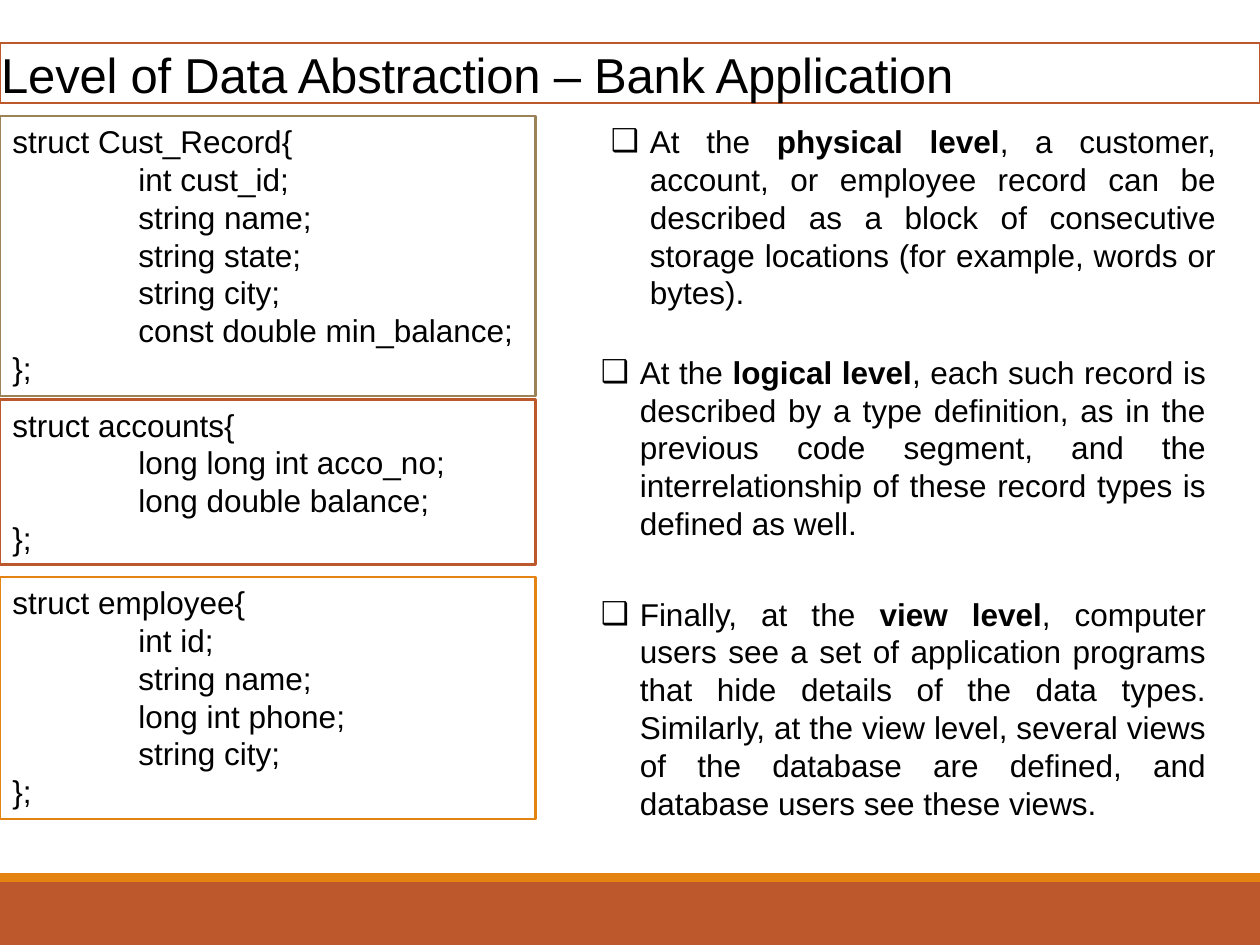
from dataclasses import dataclass

from lxml import etree
from pptx import Presentation
from pptx import util as u
from pptx.dml.color import RGBColor
from pptx.enum import shapes, text
from pptx.oxml.ns import qn


@dataclass(frozen=True)
class Theme:
    font: str = "Arial"
    ink: str = "000000"
    paper: str = "FFFFFF"
    rust: str = "BD582C"
    amber: str = "E48312"
    olive: str = "9B8357"
    title_size: float = 28
    body_size: float = 18
    line_pitch: float = 21.6
    border: float = 1.25


THEME = Theme()
WIDTH, HEIGHT = 10, 7.5
CODE_WIDTH, NOTE_WIDTH = 4.25, 5
MEMBER_INDENT, BULLET_INDENT = 1, 0.31

# Struct name, members, top, height, border colour
STRUCTS = [
    ("Cust_Record", ["int cust_id;", "string name;", "string state;", "string city;",
                     "const double min_balance;"], 0.92, 2.22, THEME.olive),
    ("accounts", ["long long int acco_no;", "long double balance;"],
     3.17, 1.31, THEME.rust),
    ("employee", ["int id;", "string name;", "long int phone;", "string city;"],
     4.58, 1.92, THEME.amber),
]

# Lead-in, level in bold, rest, left, top, height
LEVELS = [
    ("At the ", "physical level", ", a customer, account, or employee record can be "
     "described as a block of consecutive storage locations (for example, words or "
     "bytes).", 4.75, 0.92, 1.62),
    ("At the ", "logical level", ", each such record is described by a type definition, "
     "as in the previous code segment, and the interrelationship of these record types "
     "is defined as well.", 4.67, 2.75, 1.62),
    ("Finally, at the ", "view level", ", computer users see a set of application "
     "programs that hide details of the data types. Similarly, at the view level, "
     "several views of the database are defined, and database users see these views.",
     4.67, 4.67, 1.92),
]


def apply(target, **formats):
    for name, value in formats.items():
        setattr(target, name, value)


def place(box, left, top, width, height):
    apply(box, left=u.Inches(left), top=u.Inches(top),
          width=u.Inches(width), height=u.Inches(height))


def paint(box, fill, line=None):
    box.fill.solid()
    box.fill.fore_color.rgb = RGBColor.from_string(fill)
    if line:
        box.line.color.rgb = RGBColor.from_string(line)
        box.line.width = u.Pt(THEME.border)
    else:
        box.line.fill.background()


def add_rectangle(page, area, fill, line=None):
    box = page.shapes.add_shape(shapes.MSO_SHAPE.RECTANGLE, *map(u.Inches, area))
    box.shadow.inherit = False
    paint(box, fill, line)
    return box


def add_span(para, words, size=THEME.body_size, bold=False):
    span = para.add_run()
    span.text = words
    apply(span.font, name=THEME.font, size=u.Pt(size), bold=bold)
    span.font.color.rgb = RGBColor.from_string(THEME.ink)
    return span


def indent(para, left, first=0):
    properties = para._p.get_or_add_pPr()
    properties.set("marL", str(u.Inches(left)))
    properties.set("indent", str(u.Inches(first)))
    return properties


def add_title(page, words):
    box = page.shapes.title
    place(box, 0, 0.34, WIDTH, 0.48)
    paint(box, THEME.paper, THEME.rust)
    apply(box.text_frame, margin_left=0, margin_right=0, margin_bottom=0,
          margin_top=u.Inches(0.01), word_wrap=True,
          auto_size=text.MSO_AUTO_SIZE.NONE, vertical_anchor=text.MSO_ANCHOR.BOTTOM)
    para = box.text_frame.paragraphs[0]
    apply(para, alignment=text.PP_ALIGN.LEFT, space_before=u.Pt(0.9))
    indent(para, 0.01)
    span = add_span(para, words, THEME.title_size)
    span._r.get_or_add_rPr().set("spc", "-10")


def add_struct(page, name, members, top, height, colour):
    box = add_rectangle(page, (0, top, CODE_WIDTH, height), THEME.paper, colour)
    frame = box.text_frame
    apply(frame, word_wrap=True, vertical_anchor=text.MSO_ANCHOR.TOP)
    lines = [f"struct {name}{{", *members, "};"]
    for number, line in enumerate(lines):
        para = frame.add_paragraph() if number else frame.paragraphs[0]
        apply(para, alignment=text.PP_ALIGN.LEFT, line_spacing=u.Pt(THEME.line_pitch))
        indent(para, MEMBER_INDENT if line in members else 0)
        add_span(para, line)


def add_level(page, lead, level, rest, left, top, height):
    box = page.shapes.add_textbox(*map(u.Inches, (left, top, NOTE_WIDTH, height)))
    box.text_frame.word_wrap = True
    para = box.text_frame.paragraphs[0]
    apply(para, alignment=text.PP_ALIGN.JUSTIFY, line_spacing=u.Pt(THEME.line_pitch))
    properties = indent(para, BULLET_INDENT, -BULLET_INDENT)
    etree.SubElement(properties, qn("a:buFont"), typeface=THEME.font)
    etree.SubElement(properties, qn("a:buChar"), char="❑")
    for words, bold in ((lead, False), (level, True), (rest, False)):
        add_span(para, words, bold=bold)


def main():
    deck = Presentation()
    apply(deck, slide_width=u.Inches(WIDTH), slide_height=u.Inches(HEIGHT))
    page = deck.slides.add_slide(deck.slide_layouts[5])

    # Footer band with its accent strip
    add_rectangle(page, (0, 7, WIDTH, 0.5), THEME.rust)
    add_rectangle(page, (0, 6.93, WIDTH, 0.07), THEME.amber)

    add_title(page, "Level of Data Abstraction – Bank Application")

    # Code on the left, explanations on the right
    for struct in STRUCTS:
        add_struct(page, *struct)
    for level in LEVELS:
        add_level(page, *level)

    deck.save("out.pptx")


if __name__ == "__main__":
    main()
